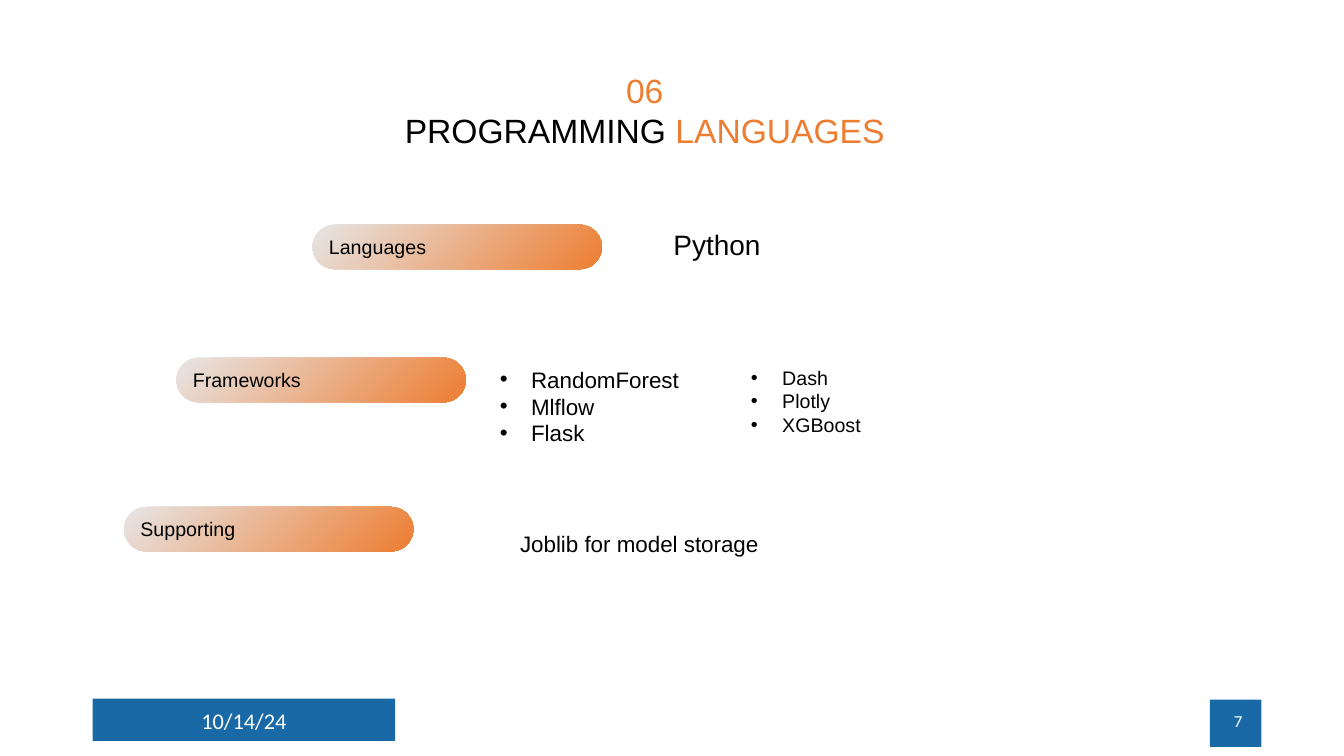
from lxml import etree
from pptx import Presentation
from pptx.dml.color import RGBColor
from pptx.enum import shapes, text
from pptx.oxml.ns import qn
from pptx.util import Inches, Pt

ORANGE, GREY, BLUE, BLACK, WHITE = "ED7D31", "E7E6E6", "1869A6", "000000", "FFFFFF"
LEFT, CENTER, RIGHT = text.PP_ALIGN.LEFT, text.PP_ALIGN.CENTER, text.PP_ALIGN.RIGHT
TOP, MIDDLE = text.MSO_ANCHOR.TOP, text.MSO_ANCHOR.MIDDLE


def rgb(color):
    return RGBColor.from_string(color)


def write(frame, lines, size, color=BLACK, font="Arial", align=LEFT, anchor=TOP, wrap=True):
    """Fill a text frame, one paragraph a line; a line is a list of (words, color) or plain words."""
    frame.word_wrap, frame.vertical_anchor = wrap, anchor
    for number, line in enumerate(lines):
        paragraph = frame.paragraphs[0] if number == 0 else frame.add_paragraph()
        paragraph.alignment = align
        for words, run_color in [(line, color)] if isinstance(line, str) else line:
            if words == "\n":
                paragraph.add_line_break()
                continue
            run = paragraph.add_run()
            run.text = words
            run.font.size, run.font.name = Pt(size), font
            run.font.color.rgb = rgb(run_color)


deck = Presentation()
deck.slide_width, deck.slide_height = Inches(13.33), Inches(7.5)
slide = deck.slides.add_slide(deck.slide_layouts[6])

# Footer
for box in [(0.92, 6.93, 3, 0.42), (12, 6.94, 0.51, 0.47)]:
    band = slide.shapes.add_shape(shapes.MSO_SHAPE.RECTANGLE, *map(Inches, box))
    band.shadow.inherit = False
    band.fill.solid()
    band.fill.fore_color.rgb = rgb(BLUE)
    band.line.fill.background()

for left, words, size, align in [(0.92, "10/14/24", 16, CENTER), (9.42, "7", 12, RIGHT)]:
    footer = slide.shapes.add_textbox(Inches(left), Inches(6.95), Inches(3), Inches(0.4))
    write(footer.text_frame, [words], size, WHITE, "Calibri", align, MIDDLE)

# Title
title = slide.shapes.add_textbox(Inches(3.06), Inches(0.64), Inches(6.67), Inches(0.91))
heading = [("06", ORANGE), ("\n", ORANGE), ("PROGRAMMING ", BLACK), ("LANGUAGES", ORANGE)]
write(title.text_frame, [heading], 24, align=CENTER)

# Category pills
for left, top, category in [(3.1, 2.23, "Languages"), (1.75, 3.55, "Frameworks"),
                            (1.23, 5.03, "Supporting")]:
    pill = slide.shapes.add_shape(shapes.MSO_SHAPE.ROUNDED_RECTANGLE, Inches(left), Inches(top),
                                  Inches(2.87), Inches(0.44))
    pill.adjustments[0] = 0.5
    pill.shadow.inherit = False
    pill.line.fill.background()
    pill.fill.gradient()
    pill.fill.gradient_angle = 315
    for stop, color, position in zip(pill.fill.gradient_stops, (GREY, ORANGE), (0, 1)):
        stop.color.rgb, stop.position = rgb(color), position
    pill.text_frame.margin_top = pill.text_frame.margin_bottom = Inches(0.1)
    write(pill.text_frame, [category], 14, anchor=MIDDLE)

# Tools in each category
python = slide.shapes.add_textbox(Inches(6.58), Inches(2.21), Inches(1.07), Inches(0.44))
write(python.text_frame, ["Python"], 20, wrap=False)

storage = slide.shapes.add_textbox(Inches(5.06), Inches(5.21), Inches(3.24), Inches(0.37))
write(storage.text_frame, ["Joblib for model storage"], 16)

for left, height, size, tools in [(4.86, 0.91, 16, ["RandomForest", "Mlflow", "Flask"]),
                                  (7.35, 0.81, 14, ["Dash", "Plotly", "XGBoost"])]:
    frameworks = slide.shapes.add_textbox(Inches(left), Inches(3.58), Inches(6.67), Inches(height))
    write(frameworks.text_frame, tools, size)
    for paragraph in frameworks.text_frame.paragraphs:
        properties = paragraph._p.get_or_add_pPr()
        properties.set("marL", str(Inches(0.31)))
        properties.set("indent", str(Inches(-0.31)))
        etree.SubElement(properties, qn("a:buFont"), typeface="Arial")
        etree.SubElement(properties, qn("a:buChar"), char="•")

deck.save("out.pptx")
